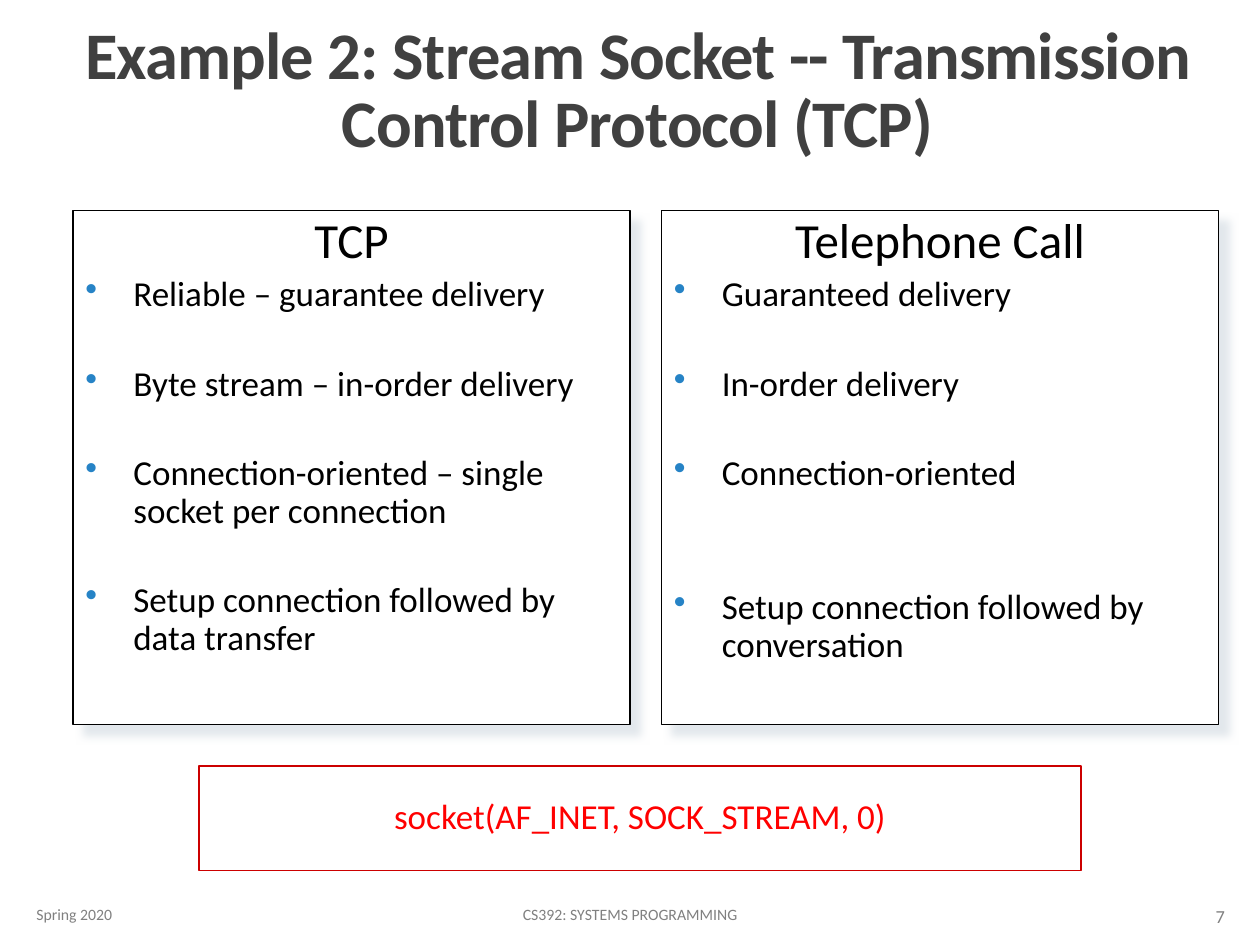
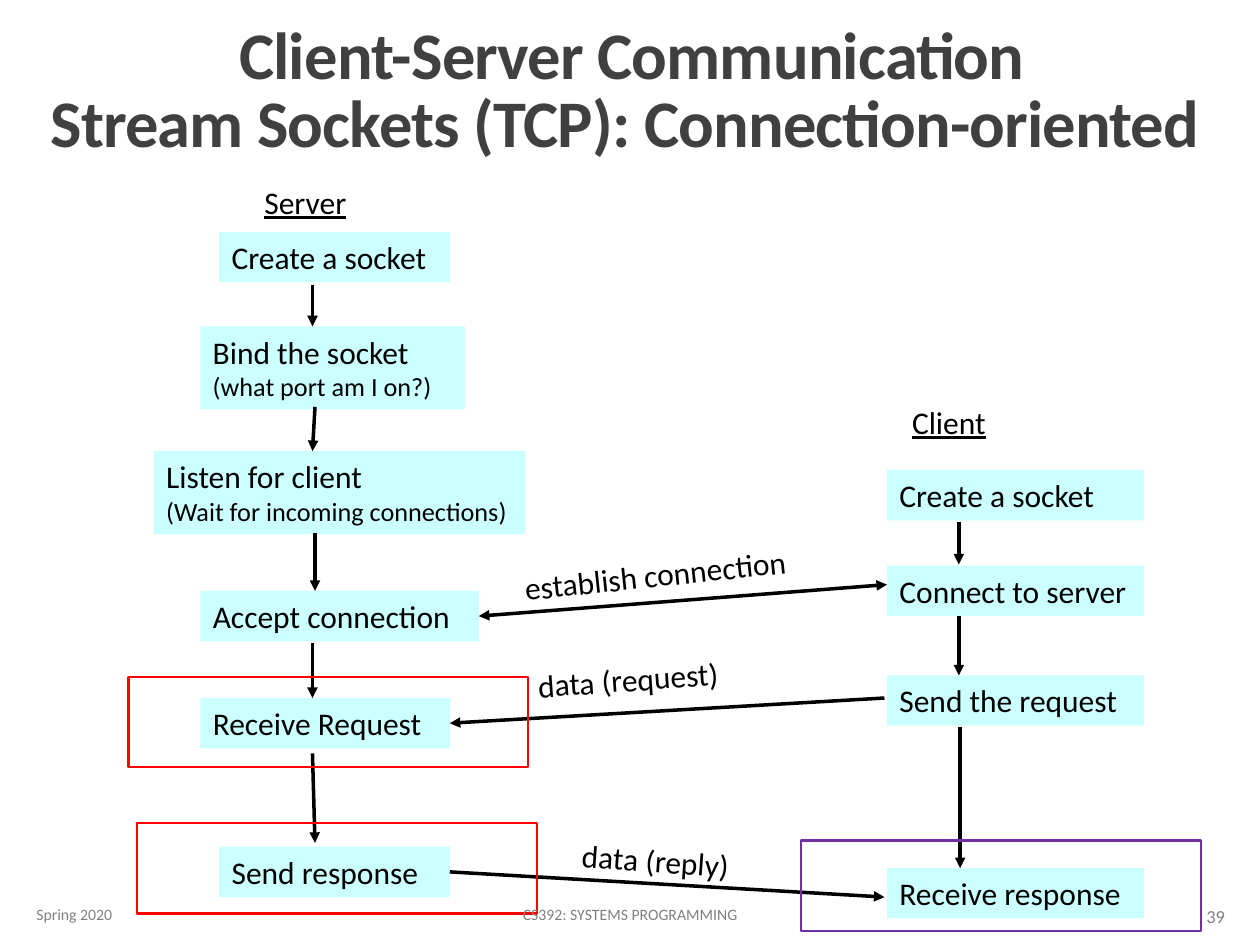
from lxml import etree
from pptx import Presentation
from pptx.dml.color import RGBColor
from pptx.enum.shapes import MSO_CONNECTOR, MSO_SHAPE
from pptx.enum.text import MSO_ANCHOR, PP_ALIGN
from pptx.oxml import parse_xml
from pptx.oxml.ns import nsdecls, qn
from pptx.util import Inches, Pt

RECTANGLE, STRAIGHT = MSO_SHAPE.RECTANGLE, MSO_CONNECTOR.STRAIGHT
LEFT, CENTER, RIGHT = PP_ALIGN.LEFT, PP_ALIGN.CENTER, PP_ALIGN.RIGHT
TOP, MIDDLE, BOTTOM = MSO_ANCHOR.TOP, MSO_ANCHOR.MIDDLE, MSO_ANCHOR.BOTTOM
LEFT_SIDE, RIGHT_SIDE = 1, 3

FONT = "Calibri"
COLORS = {
    "title": "404040", "text": "000000", "footer": "808080", "panel": "FFFFFF",
    "shadow": "D9E0E6", "bullet": "2683C6", "step": "CCFFFF", "code": "FF0000",
    "code border": "CC0000", "server frame": "FF0000", "client frame": "7030A0",
}


def add_box(slide, frame, lines=(), color="text", align=LEFT, anchor=TOP,
            fill=None, border=None, border_width=0.75, wrap=True):
    """Add a rectangle, or a text box if it has no fill or border; lines are (text, size) pairs."""
    position = [Inches(value) for value in frame]
    if fill or border:
        shape = slide.shapes.add_shape(RECTANGLE, *position)
        shape.shadow.inherit = False
        if fill:
            shape.fill.solid()
            shape.fill.fore_color.rgb = RGBColor.from_string(COLORS[fill])
        else:
            shape.fill.background()
        if border:
            shape.line.color.rgb = RGBColor.from_string(COLORS[border])
            shape.line.width = Pt(border_width)
        else:
            shape.line.fill.background()
    else:
        shape = slide.shapes.add_textbox(*position)
    text_frame = shape.text_frame
    text_frame.word_wrap = wrap
    text_frame.vertical_anchor = anchor
    for index, (text, size) in enumerate(lines):
        paragraph = text_frame.add_paragraph() if index else text_frame.paragraphs[0]
        paragraph.text = text
        paragraph.alignment = align
        paragraph.font.name = FONT
        paragraph.font.size = Pt(size)
        paragraph.font.color.rgb = RGBColor.from_string(COLORS[color])
    return shape


def add_arrow(slide, start, end, both_ways=False):
    arrow = slide.shapes.add_connector(STRAIGHT, *[Inches(value) for value in start + end])
    arrow.line.color.rgb = RGBColor.from_string(COLORS["text"])
    arrow.line.width = Pt(2)
    line = arrow.line._get_or_add_ln()
    for tag in ["a:headEnd", "a:tailEnd"] if both_ways else ["a:tailEnd"]:
        etree.SubElement(line, qn(tag), type="triangle")
    etree.SubElement(arrow._element.spPr, qn("a:effectLst"))
    return arrow


presentation = Presentation()
presentation.slide_width = Inches(10)
presentation.slide_height = Inches(7.5)
blank_layout = presentation.slide_layouts[6]
tcp_slide = presentation.slides.add_slide(blank_layout)
flow_slide = presentation.slides.add_slide(blank_layout)

# Titles
titles = [
    (tcp_slide, (0.12, 0.08, 9.88, 1.25),
     "Example 2: Stream Socket -- Transmission Control Protocol (TCP)"),
    (flow_slide, (0.18, 0.08, 9.67, 1.25),
     "Client-Server Communication\vStream Sockets (TCP): Connection-oriented "),
]
for slide, frame, text in titles:
    title = add_box(slide, frame, [(text, 38)], "title", CENTER, BOTTOM)
    paragraph = title.text_frame.paragraphs[0]
    paragraph.line_spacing = 0.85
    paragraph.font.bold = True
    for run in paragraph.runs:
        run._r.get_or_add_rPr().set("spc", "-50")

# TCP compared with a telephone call: bullets with the space before each, in points
panels = [
    (0.58, "TCP", [
        ("Reliable – guarantee delivery", 4),
        ("Byte stream – in-order delivery", 29.5),
        ("Connection-oriented – single socket per connection", 29.5),
        ("Setup connection followed by data transfer", 29.5),
    ]),
    (5.25, "Telephone Call", [
        ("Guaranteed delivery", 4),
        ("In-order delivery", 29.5),
        ("Connection-oriented", 29.5),
        ("Setup connection followed by conversation", 55),
    ]),
]
for left, heading, bullets in panels:
    frame = (left, 1.67, 4.42, 4.08)
    lines = [(heading, 28)] + [(text, 20) for text, space in bullets]
    panel = add_box(tcp_slide, frame, lines, fill="panel", border="text")
    effects = panel._element.spPr.find(qn("a:effectLst"))
    effects.append(parse_xml(
        f'<a:outerShdw {nsdecls("a")} blurRad="{Pt(5)}" dist="{Pt(8.5)}" dir="2700000" '
        f'algn="ctr" rotWithShape="0"><a:srgbClr val="{COLORS["shadow"]}">'
        '<a:alpha val="75000"/></a:srgbClr></a:outerShdw>'))
    paragraphs = panel.text_frame.paragraphs
    paragraphs[0].alignment = CENTER
    for paragraph in paragraphs:
        paragraph.line_spacing = 0.9
    for paragraph, (text, space) in zip(paragraphs[1:], bullets):
        paragraph.space_before = Pt(space)
        properties = paragraph._p.get_or_add_pPr()
        properties.set("marL", str(Inches(0.38)))
        properties.set("indent", str(-Inches(0.38)))
        bullet_color = parse_xml(
            f'<a:buClr {nsdecls("a")}><a:srgbClr val="{COLORS["bullet"]}"/></a:buClr>')
        bullet = parse_xml(f'<a:buChar {nsdecls("a")} char="•"/>')
        default_font = properties.find(qn("a:defRPr"))
        default_font.addprevious(bullet_color)
        default_font.addprevious(bullet)

socket_call = add_box(tcp_slide, (1.58, 6.08, 7, 0.83), [("socket(AF_INET, SOCK_STREAM, 0)", 20)],
                      "code", CENTER, MIDDLE, border="code border")
socket_call.text_frame.paragraphs[0].line_spacing = 0.9

# Client-server flow: steps
steps = {}
server_steps = [
    (1.74, 1.84, 1.83, "Create a socket", None),
    (1.59, 2.59, 2.1, "Bind the socket", "(what port am I on?)"),
    (1.22, 3.58, 2.95, "Listen for client", "(Wait for incoming connections)"),
    (1.59, 4.69, 2.21, "Accept connection", None),
    (1.59, 5.54, 1.98, "Receive Request", None),
    (1.74, 6.72, 1.83, "Send response", None),
]
for left, top, width, name, detail in server_steps:
    lines = [(name, 18), (detail, 15)] if detail else [(name, 18)]
    steps[name] = add_box(flow_slide, (left, top, width, 0.66 if detail else 0.4), lines, fill="step")

client_steps = [(3.73, "Create a socket"), (4.49, "Connect to server"),
                (5.36, "Send the request"), (6.89, "Receive response")]
for top, name in client_steps:
    add_box(flow_slide, (7.04, top, 2.04, 0.4), [(name, 18)], fill="step")

for left, top, name in [(2, 1.4, "Server"), (7.14, 3.15, "Client")]:
    heading = add_box(flow_slide, (left, top, 1.2, 0.43), [(name, 18)])
    heading.text_frame.paragraphs[0].font.underline = True

# Arrows down each side
down_arrows = [
    ((2.48, 2.26), (2.48, 2.59)), ((2.5, 3.23), (2.48, 3.58)), ((2.5, 4.23), (2.5, 4.69)),
    ((2.48, 5.1), (2.48, 5.54)), ((2.48, 5.98), (2.5, 6.69)),
    ((7.61, 4.14), (7.61, 4.48)), ((7.61, 4.89), (7.61, 5.36)), ((7.62, 5.77), (7.62, 6.89)),
]
for start, end in down_arrows:
    add_arrow(flow_slide, start, end)

# Messages between the two sides
connection = add_arrow(flow_slide, (7.04, 4.64), (3.8, 4.89), both_ways=True)
connection.end_connect(steps["Accept connection"], RIGHT_SIDE)
request = add_arrow(flow_slide, (7.02, 5.54), (3.57, 5.77))
request.end_connect(steps["Receive Request"], RIGHT_SIDE)
reply = add_arrow(flow_slide, (3.57, 6.89), (7.02, 7.12))
reply.begin_connect(steps["Send response"], RIGHT_SIDE)

messages = [
    (4.06, 4.35, 2.5, -6, "establish connection"),
    (4.17, 5.19, 1.66, -4, "data (request)"),
    (4.52, 6.63, 1.39, 4.1, "data (reply)"),
]
for left, top, width, rotation, text in messages:
    label = add_box(flow_slide, (left, top, width, 0.4), [(text, 18)], wrap=False)
    label.rotation = rotation

frames = [(6.36, 6.67, "client frame"), (1.02, 5.37, "server frame"), (1.09, 6.53, "server frame")]
for left, top, color in frames:
    add_box(flow_slide, (left, top, 3.17, 0.72), border=color, border_width=1.25)

# Footers
for slide, number in [(tcp_slide, "7"), (flow_slide, "39")]:
    footers = [
        ((0.19, 7.06, 2.03, 0.4), "Spring 2020", 9, LEFT),
        ((3.02, 7.06, 3.96, 0.4), "CS392: SYSTEMS PROGRAMMING", 9, CENTER),
        ((8.74, 7.07, 1.08, 0.4), number, 10.5, RIGHT),
    ]
    for frame, text, size, align in footers:
        add_box(slide, frame, [(text, size)], "footer", align, MIDDLE)

presentation.save("out.pptx")
